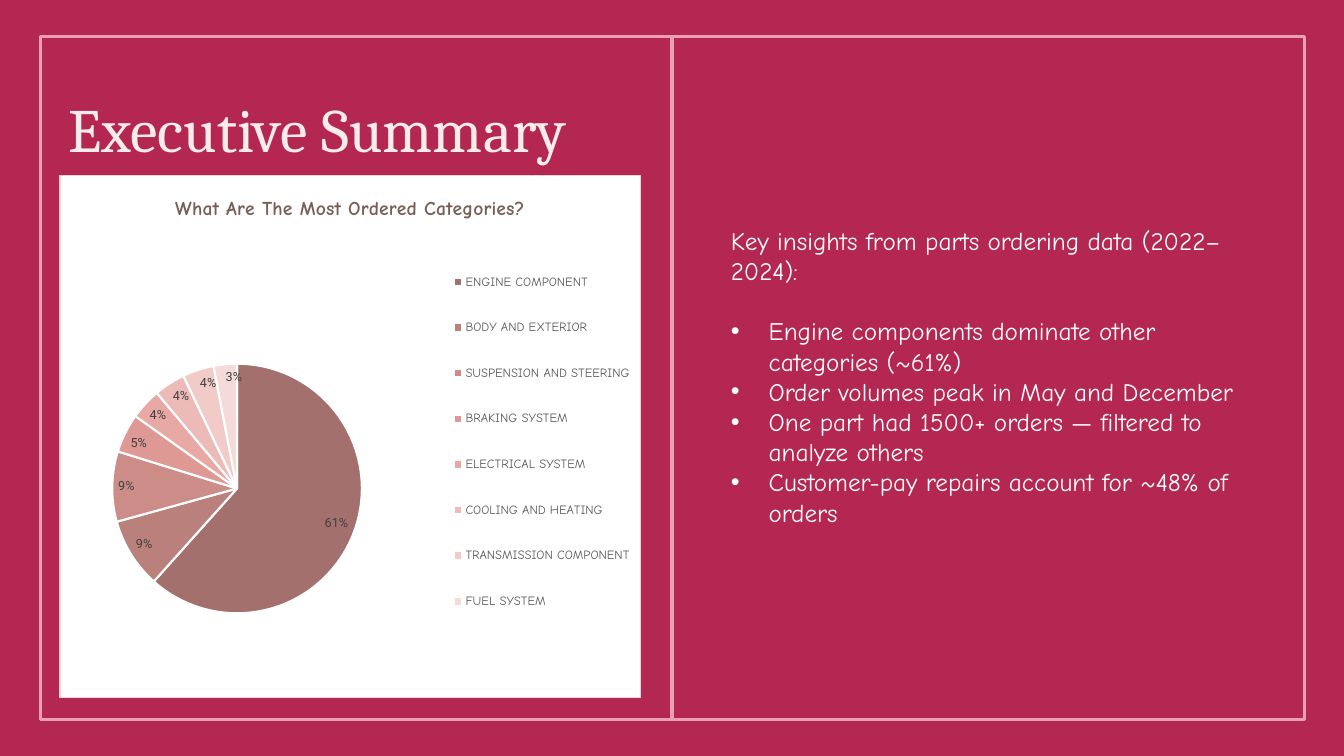
from dataclasses import dataclass

from lxml import etree
from pptx import Presentation
from pptx.chart.data import CategoryChartData
from pptx.dml.color import RGBColor
from pptx.enum.chart import XL_CHART_TYPE, XL_LABEL_POSITION, XL_LEGEND_POSITION
from pptx.enum.shapes import MSO_CONNECTOR, MSO_SHAPE
from pptx.enum.text import MSO_ANCHOR, MSO_AUTO_SIZE, PP_ALIGN
from pptx.oxml import parse_xml
from pptx.oxml.ns import nsdecls, qn
from pptx.util import Pt

PIE = XL_CHART_TYPE.PIE
INSIDE_END = XL_LABEL_POSITION.INSIDE_END
LEGEND_RIGHT = XL_LEGEND_POSITION.RIGHT
STRAIGHT = MSO_CONNECTOR.STRAIGHT
RECTANGLE = MSO_SHAPE.RECTANGLE
TOP = MSO_ANCHOR.TOP
NO_FIT = MSO_AUTO_SIZE.NONE
LEFT = PP_ALIGN.LEFT


@dataclass(frozen=True)
class Theme:
    background: str = "B32752"
    frame: str = "EA9FB6"
    title: str = "FAECEB"
    white: str = "FFFFFF"
    chart_border: str = "F4D4D2"
    chart_title: str = "775F55"
    chart_text: str = "000000"
    label: str = "404040"
    legend: str = "595959"
    heading_font: str = "Cambria"
    body_font: str = "Comic Neue"
    chart_font: str = "Roboto"
    title_size: int = 44
    body_size: int = 18
    chart_title_size: int = 14
    chart_size: int = 10
    small_size: int = 9


THEME = Theme()
FRAME_LEFT, FRAME_TOP, FRAME_WIDTH, FRAME_HEIGHT = 28.8, 25.9, 902.9, 488.2
DIVIDER_X = 480
BULLET_INDENT = 27

INTRO = "Key insights from parts ordering data (2022–2024):"
INSIGHTS = [
    "Engine components dominate other categories (~61%)",
    "Order volumes peak in May and December",
    "One part had 1500+ orders — filtered to analyze others",
    "Customer-pay repairs account for ~48% of orders",
]
CATEGORIES = [
    ("ENGINE COMPONENT", 61, "A3706D"),
    ("BODY AND EXTERIOR", 9, "BA807C"),
    ("SUSPENSION AND STEERING", 9, "CC8D89"),
    ("BRAKING SYSTEM", 5, "DE9995"),
    ("ELECTRICAL SYSTEM", 4, "E8A8A4"),
    ("COOLING AND HEATING", 4, "ECBBB8"),
    ("TRANSMISSION COMPONENT", 4, "F0CBC8"),
    ("FUEL SYSTEM", 3, "F4DAD8"),
]


def rgb(color):
    return RGBColor.from_string(color)


def style_font(font, name, size, color, bold=False):
    font.name = name
    font.size = Pt(size)
    font.bold = bold
    font.color.rgb = rgb(color)


def style_line(line, color, width):
    line.color.rgb = rgb(color)
    line.width = Pt(width)


def place(shape, left, top, width, height):
    shape.left, shape.top = Pt(left), Pt(top)
    shape.width, shape.height = Pt(width), Pt(height)


def add_frame(slide):
    frame = slide.shapes.add_shape(
        RECTANGLE, Pt(FRAME_LEFT), Pt(FRAME_TOP), Pt(FRAME_WIDTH), Pt(FRAME_HEIGHT))
    frame.shadow.inherit = False
    frame.fill.background()
    style_line(frame.line, THEME.frame, 2.25)


def add_divider(slide):
    divider = slide.shapes.add_connector(
        STRAIGHT, Pt(DIVIDER_X), Pt(FRAME_TOP + FRAME_HEIGHT), Pt(DIVIDER_X), Pt(FRAME_TOP))
    style_line(divider.line, THEME.frame, 2.25)
    etree.SubElement(divider._element.spPr, qn("a:effectLst"))


def prepare_text(shape):
    text_frame = shape.text_frame
    text_frame.word_wrap = True
    text_frame.auto_size = NO_FIT
    text_frame.vertical_anchor = TOP
    return text_frame


def fill_title(shape):
    place(shape, 41.8, 67, 405.4, 405.4)
    paragraph = prepare_text(shape).paragraphs[0]
    paragraph.alignment = LEFT
    paragraph.line_spacing = 0.9
    run = paragraph.add_run()
    run.text = "Executive Summary"
    style_font(run.font, THEME.heading_font, THEME.title_size, THEME.title)


def write_paragraph(paragraph, text, bulleted, space_after=0):
    paragraph.alignment = LEFT
    paragraph.space_before = Pt(0)
    paragraph.space_after = Pt(space_after)
    run = paragraph.add_run()
    run.text = text
    style_font(run.font, THEME.body_font, THEME.body_size, THEME.white)
    indent = Pt(BULLET_INDENT) if bulleted else 0
    properties = paragraph._p.get_or_add_pPr()
    properties.set("marL", str(indent))
    properties.set("indent", str(-indent))
    if bulleted:
        etree.SubElement(properties, qn("a:buFont")).set("typeface", "Arial")
        etree.SubElement(properties, qn("a:buChar")).set("char", "•")
    else:
        etree.SubElement(properties, qn("a:buNone"))


def fill_insights(shape):
    place(shape, 514.8, 157, 380.9, 247)
    text_frame = prepare_text(shape)
    write_paragraph(text_frame.paragraphs[0], INTRO, False, space_after=21.6)
    for insight in INSIGHTS:
        write_paragraph(text_frame.add_paragraph(), insight, True)


def set_layout(parent, index, x, y, width, height, target=""):
    """Pin a chart part to fractions of the chart area."""
    for old_layout in parent.findall(qn("c:layout")):
        parent.remove(old_layout)
    parent.insert(index, parse_xml(
        f'<c:layout {nsdecls("c")}><c:manualLayout>{target}'
        '<c:xMode val="edge"/><c:yMode val="edge"/>'
        f'<c:x val="{x}"/><c:y val="{y}"/><c:w val="{width}"/><c:h val="{height}"/>'
        '</c:manualLayout></c:layout>'))


def fill_chart_area(chart):
    chart._chartSpace.find(qn("c:chart")).addnext(parse_xml(
        f'<c:spPr {nsdecls("c", "a")}>'
        f'<a:solidFill><a:srgbClr val="{THEME.white}"/></a:solidFill>'
        f'<a:ln w="{Pt(0.75)}"><a:solidFill><a:srgbClr val="{THEME.chart_border}"/>'
        '</a:solidFill></a:ln></c:spPr>'))


def style_slices(plot):
    plot.vary_by_categories = True
    for index, (_, _, color) in enumerate(CATEGORIES):
        slice_format = plot.series[0].points[index].format
        slice_format.fill.solid()
        slice_format.fill.fore_color.rgb = rgb(color)
        style_line(slice_format.line, THEME.white, 1.5)
    plot.has_data_labels = True
    labels = plot.data_labels
    labels.show_value = True
    labels.number_format = '0"%"'
    labels.number_format_is_linked = False
    labels.position = INSIDE_END
    style_font(labels.font, THEME.chart_font, THEME.small_size, THEME.label)


def add_category_chart(slide):
    data = CategoryChartData()
    data.categories = [name for name, _, _ in CATEGORIES]
    data.add_series("Series 1", [share for _, share, _ in CATEGORIES])
    chart = slide.shapes.add_chart(
        PIE, Pt(42.5), Pt(125.3), Pt(415.4), Pt(373), data).chart
    style_font(chart.font, THEME.chart_font, THEME.chart_size, THEME.chart_text)
    fill_chart_area(chart)
    chart.has_title = True
    run = chart.chart_title.text_frame.paragraphs[0].add_run()
    run.text = "What Are The Most Ordered Categories?"
    style_font(run.font, THEME.body_font, THEME.chart_title_size, THEME.chart_title, bold=True)
    chart.has_legend = True
    chart.legend.position = LEGEND_RIGHT
    chart.legend.include_in_layout = False
    style_font(chart.legend.font, THEME.body_font, THEME.small_size, THEME.legend)
    set_layout(chart.legend._element, 1, 0.67, 0.13, 0.32, 0.76)
    plot_area = chart._chartSpace.find(f'{qn("c:chart")}/{qn("c:plotArea")}')
    set_layout(plot_area, 0, 0.09, 0.26, 0.43, 0.68, '<c:layoutTarget val="inner"/>')
    style_slices(chart.plots[0])


def main():
    presentation = Presentation()
    presentation.slide_width, presentation.slide_height = Pt(960), Pt(540)
    slide = presentation.slides.add_slide(presentation.slide_layouts[1])
    slide.background.fill.solid()
    slide.background.fill.fore_color.rgb = rgb(THEME.background)
    fill_title(slide.shapes.title)
    fill_insights(slide.placeholders[1])
    add_frame(slide)
    add_divider(slide)
    add_category_chart(slide)
    presentation.save("out.pptx")


if __name__ == "__main__":
    main()
